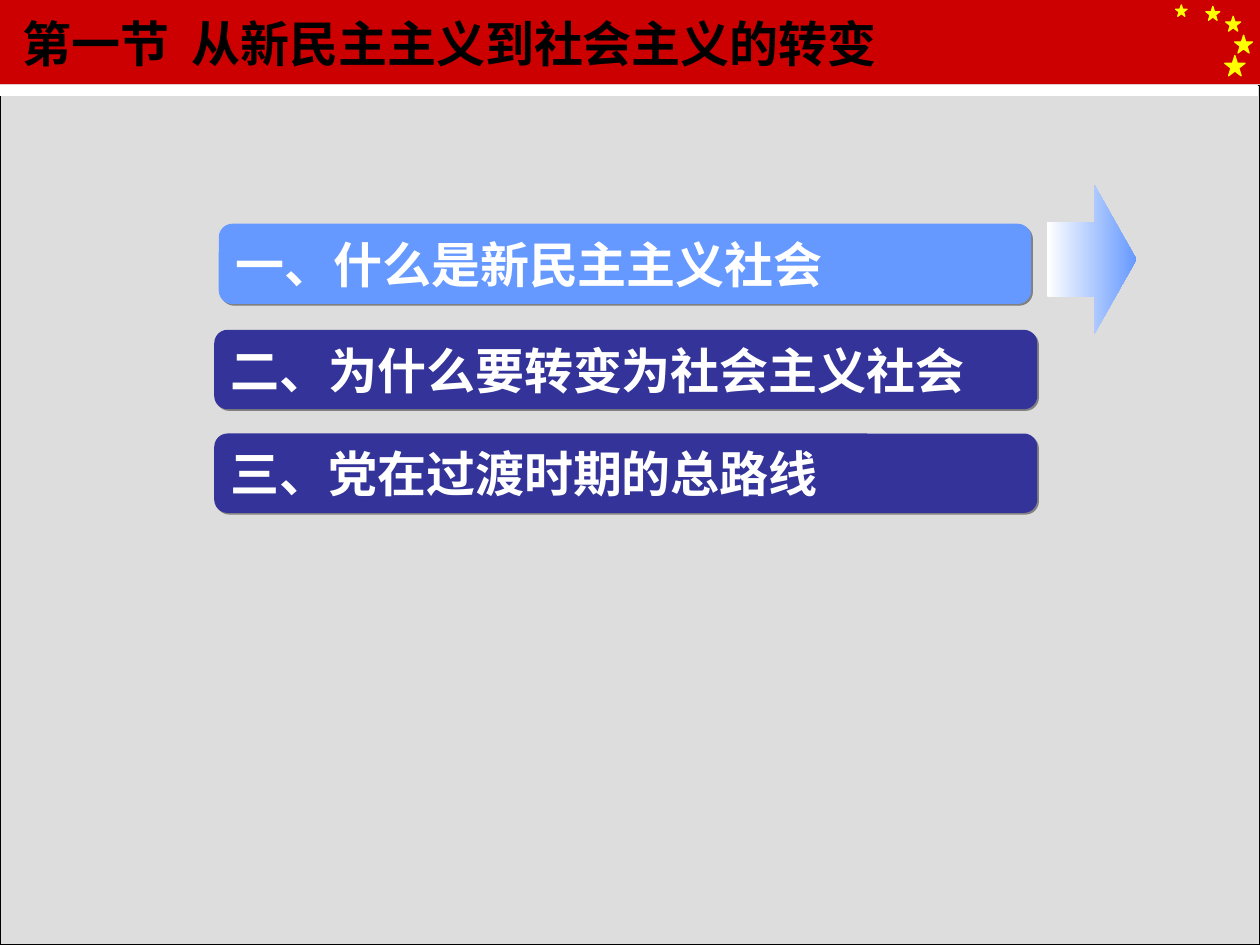
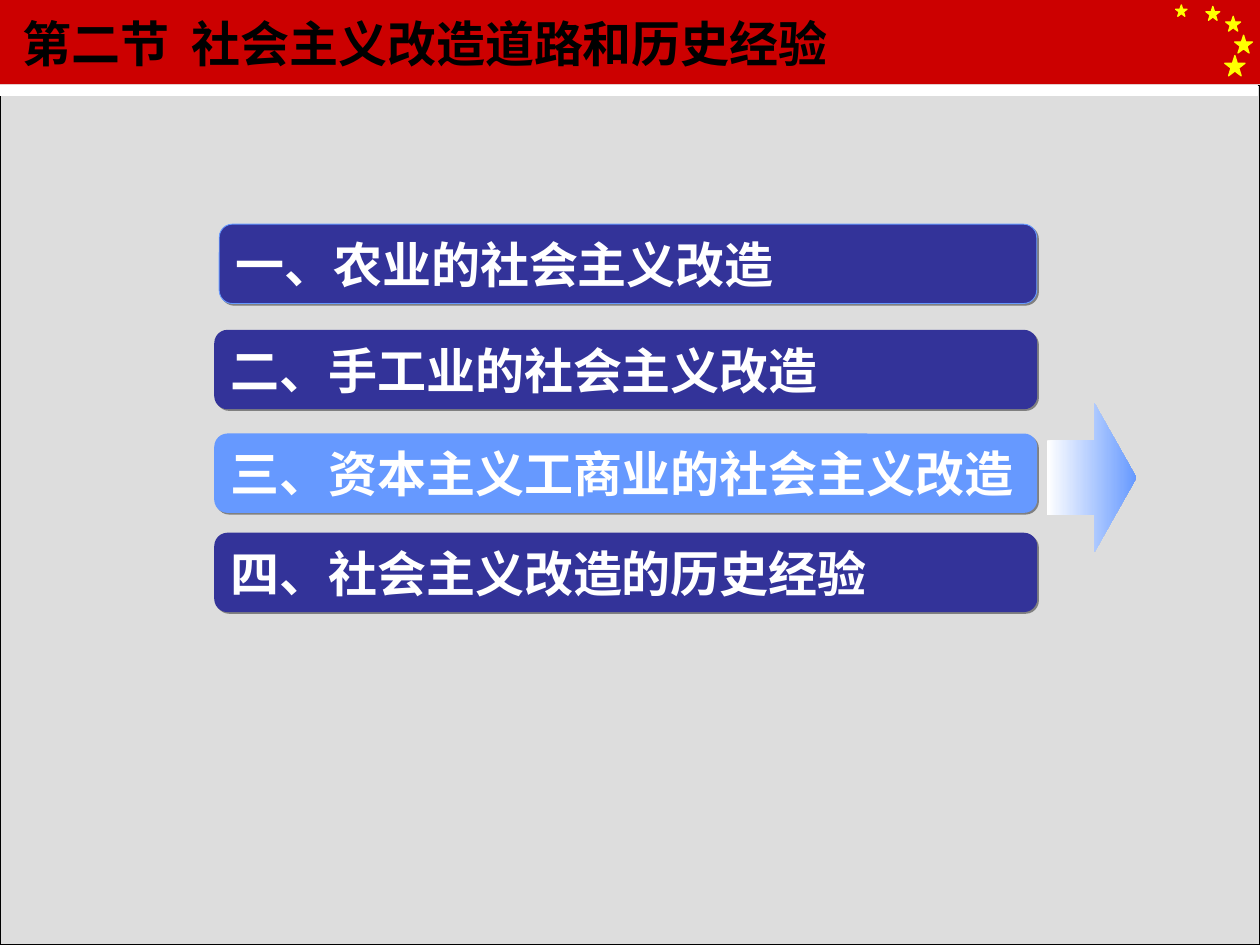
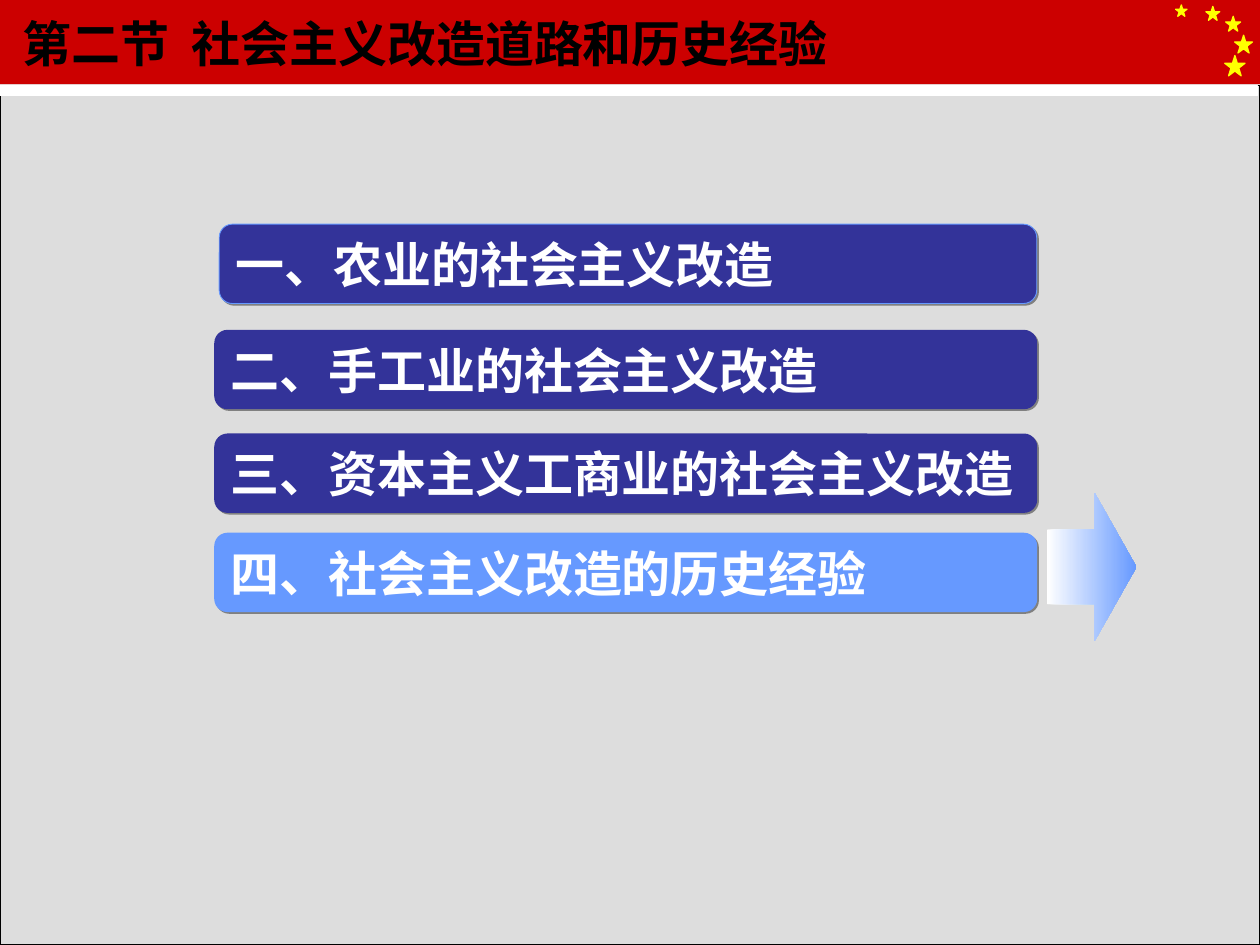
from dataclasses import dataclass

from lxml.etree import SubElement
from pptx import Presentation
from pptx.dml.color import RGBColor as RGB
from pptx.enum.shapes import MSO_SHAPE as Preset
from pptx.enum.text import MSO_ANCHOR as Anchor, MSO_AUTO_SIZE as AutoSize, PP_ALIGN as Align
from pptx.oxml.ns import qn
from pptx.util import Cm, Pt


@dataclass(frozen=True)
class Theme:
    white: RGB = RGB(0xFF, 0xFF, 0xFF)
    black: RGB = RGB(0, 0, 0)
    backdrop: RGB = RGB(0xEA, 0xEA, 0xEA)
    panel: RGB = RGB(0xDD, 0xDD, 0xDD)
    banner: RGB = RGB(0xCC, 0, 0)
    star: RGB = RGB(0xFF, 0xFF, 0)
    topic: RGB = RGB(0x33, 0x33, 0x99)
    current: RGB = RGB(0x66, 0x99, 0xFF)
    shadow: str = "808080"
    font: str = "Times New Roman"
    size: Pt = Pt(28)


theme = Theme()


def add_figure(slide, preset, box, fill=None, line=None, line_width=0.75):
    figure = slide.shapes.add_shape(preset, *[Cm(length) for length in box])
    figure.shadow.inherit = False
    if fill is not None:
        figure.fill.solid()
        figure.fill.fore_color.rgb = fill
    if line is None:
        figure.line.fill.background()
    else:
        figure.line.color.rgb = line
        figure.line.width = Pt(line_width)
    return figure


def write_text(holder, text, color):
    frame = holder.text_frame
    frame.text = text
    paragraph = frame.paragraphs[0]
    paragraph.font.color.rgb = color
    formats = {
        frame: {"word_wrap": True, "auto_size": AutoSize.NONE, "vertical_anchor": Anchor.MIDDLE},
        paragraph: {"alignment": Align.LEFT},
        paragraph.font: {"name": theme.font, "size": theme.size, "bold": True},
    }
    for target, values in formats.items():
        for attribute, value in values.items():
            setattr(target, attribute, value)


prs = Presentation()
prs.slide_width, prs.slide_height = Cm(25.4), Cm(19.05)
backdrop = prs.slide_master.background.fill
backdrop.solid()
backdrop.fore_color.rgb = theme.backdrop

section_layout = prs.slide_layouts.get_by_name("Title Only")
for placeholder in list(section_layout.placeholders):
    if placeholder.placeholder_format.idx:
        section_layout.shapes.element.remove(placeholder.element)

transformation = (
    "第二节  社会主义改造道路和历史经验",
    [
        "一、农业的社会主义改造",
        "二、手工业的社会主义改造",
        "三、资本主义工商业的社会主义改造",
        "四、社会主义改造的历史经验",
    ],
)
transition = (
    "第一节  从新民主主义到社会主义的转变",
    [
        "一、什么是新民主主义社会",
        "二、为什么要转变为社会主义社会",
        "三、党在过渡时期的总路线",
    ],
)
sections = [
    (*transition, 0, 16.36, 3.73),
    (*transformation, 2, 16.48, 8.13),
    (*transformation, 3, 16.48, 9.93),
]
slides = [prs.slides.add_slide(section_layout) for section in sections]

stars = [
    (24.69, 1.12, 0.41),
    (24.31, 0.13, 0.28),
    (23.7, 0.1, 0.23),
    (24.71, 0.33, 0.3),
    (24.89, 0.71, 0.36),
]
decor = [(Preset.RECTANGLE, (0, 0, 25.4, 1.7), theme.banner, None)]
decor += [(Preset.STAR_5_POINT, (left, top, side, side), theme.star, theme.star) for left, top, side in stars]
decor += [
    (Preset.RECTANGLE, (0, 1.73, 25.4, 17.32), theme.panel, theme.black),
    (Preset.RECTANGLE, (0, 1.73, 25.35, 0.2), theme.white, theme.white),
]
for ornament in [add_figure(slides[0], *part) for part in decor]:
    section_layout.shapes.element.append(ornament.element)

title_box = {"left": Cm(0.2), "top": Cm(0), "width": Cm(19.89), "height": Cm(1.73)}
topic_tops = [4.52, 6.65, 8.74, 10.74]

for slide, (heading, topics, current, first_width, arrow_top) in zip(slides, sections):
    title = slide.shapes.title
    for attribute, value in title_box.items():
        setattr(title, attribute, value)
    write_text(title, heading, theme.black)

    for index, (topic, top) in enumerate(zip(topics, topic_tops)):
        is_first = index == 0
        left, width = (4.42, first_width) if is_first else (4.32, 16.59)
        bar = add_figure(
            slide,
            Preset.ROUNDED_RECTANGLE,
            (left, top, width, 1.6),
            theme.current if index == current else theme.topic,
            theme.current if is_first else None,
            0.5,
        )
        effects = bar.element.spPr.find(qn("a:effectLst"))
        shadow = SubElement(effects, qn("a:outerShdw"), dist=str(Pt(1.4)), dir="2700000", algn="ctr", rotWithShape="0")
        SubElement(shadow, qn("a:srgbClr"), val=theme.shadow)
        write_text(bar, topic, theme.white)

    pointer = add_figure(slide, Preset.RIGHT_ARROW, (21.11, arrow_top, 1.8, 3))
    pointer.adjustments[1] = 0.47
    pointer.fill.gradient()
    pointer.fill.gradient_angle = 0
    for stop, color in zip(pointer.fill.gradient_stops, (theme.white, theme.current)):
        stop.color.rgb = color

prs.save("out.pptx")
